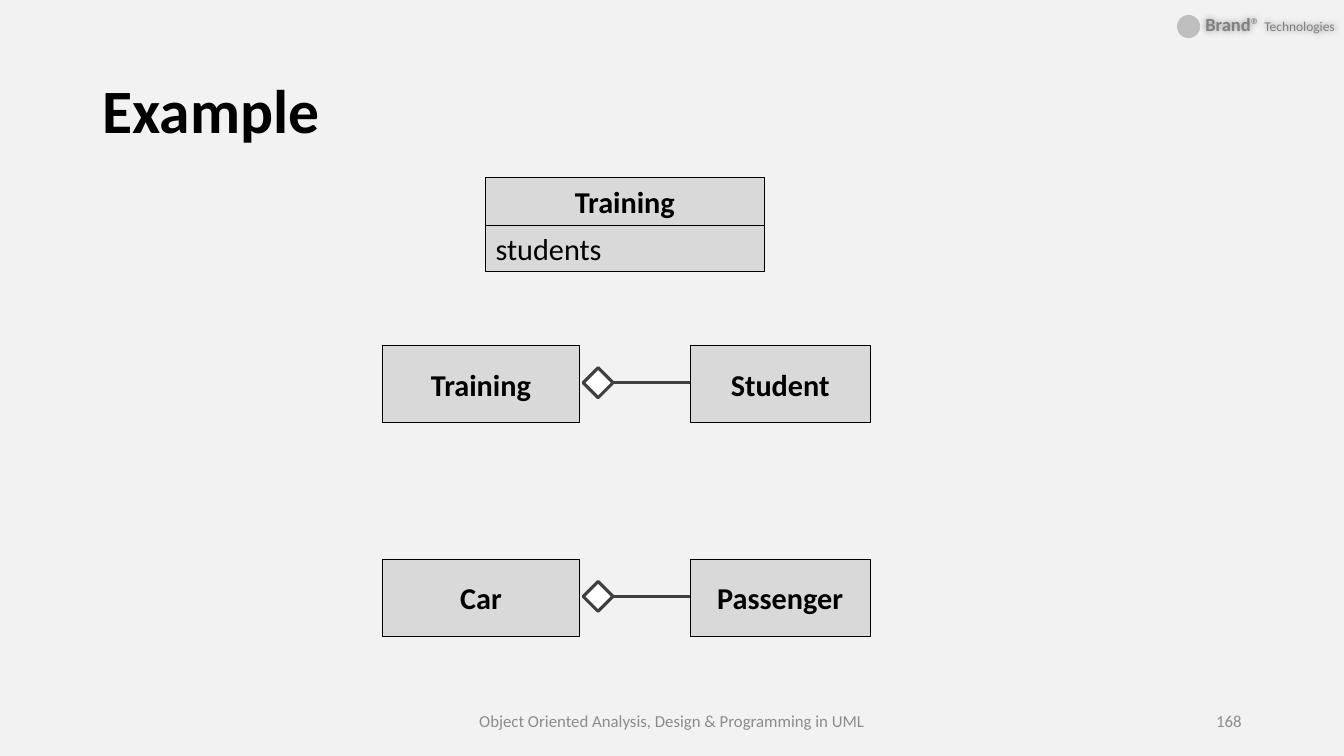
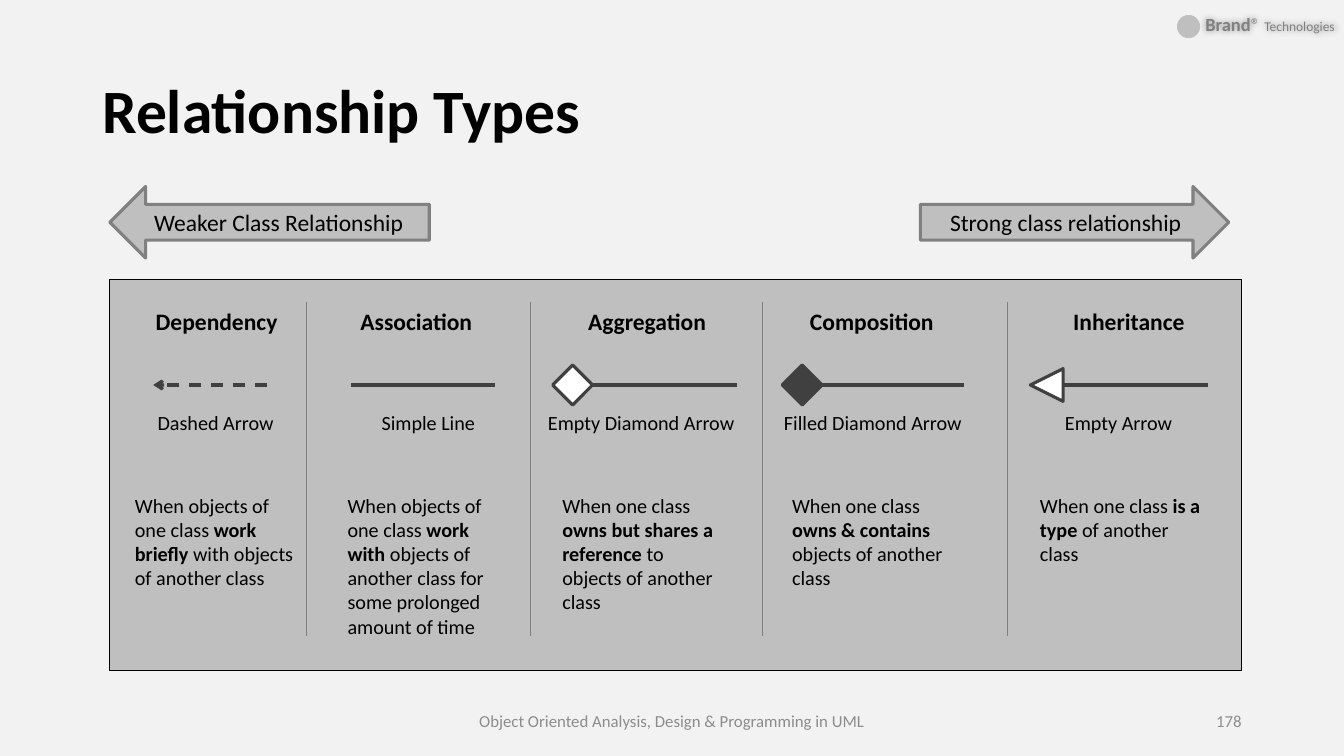
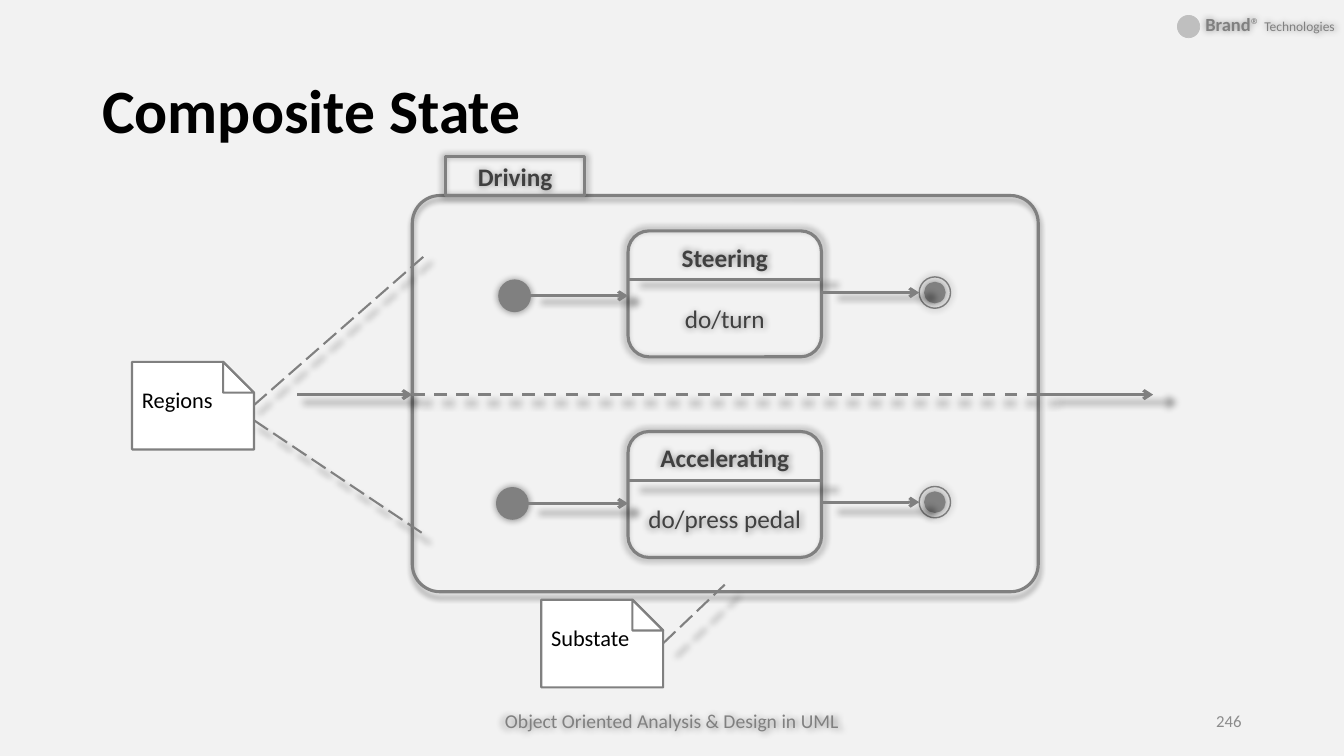
from lxml import etree
from pptx import Presentation
from pptx.dml.color import RGBColor
from pptx.enum.dml import MSO_LINE
from pptx.enum.shapes import MSO_CONNECTOR, MSO_SHAPE
from pptx.enum.text import MSO_ANCHOR, PP_ALIGN
from pptx.oxml.ns import qn
from pptx.util import Pt

RECT, ROUND, OVAL = MSO_SHAPE.RECTANGLE, MSO_SHAPE.ROUNDED_RECTANGLE, MSO_SHAPE.OVAL
TRIANGLE, CORNER, SNIP = MSO_SHAPE.ISOSCELES_TRIANGLE, MSO_SHAPE.RIGHT_TRIANGLE, MSO_SHAPE.SNIP_1_RECTANGLE
LEFT_ARROW, RIGHT_ARROW = MSO_SHAPE.LEFT_ARROW, MSO_SHAPE.RIGHT_ARROW
LEFT, CENTER, RIGHT = PP_ALIGN.LEFT, PP_ALIGN.CENTER, PP_ALIGN.RIGHT
TOP, MIDDLE = MSO_ANCHOR.TOP, MSO_ANCHOR.MIDDLE
DASH, LONG_DASH = MSO_LINE.DASH, MSO_LINE.LONG_DASH

FONT = "Calibri"
COLORS = dict(back="F2F2F2", box="D9D9D9", panel="BFBFBF", black="000000", white="FFFFFF",
              dark="404040", grey="808080", footer="8C8C8C")
GLOW = dict(blurRad=Pt(5), sx=102000, sy=102000, algn="ctr")
DROP = dict(blurRad=Pt(4), dist=Pt(3), dir=5400000, algn="t")

# Content: shared and slide 1
BRAND = [("Brand", dict(size=13.2, bold=True)), ("® ", dict(size=13.2)), ("Technologies", dict(size=9.6))]
COURSE = "Object Oriented Analysis, Design & Programming in UML"
COURSE_SHORT = "Object Oriented Analysis & Design in UML"
OWNERSHIPS = [("Training", "Student", 247), ("Car", "Passenger", 399.6)]  # whole, part, top

# Content: slide 2; x positions of the name, symbol label centre, text and symbol line
RELATIONS = [
    dict(name="Dependency", label="Dashed Arrow", head="open",
         text=("When objects of one class ", "work briefly ", "with objects of another class"),
         name_x=98.6, label_x=154, text_x=89.3, line=(109.4, 190.8)),
    dict(name="Association", label="Simple Line", head=None,
         text=("When objects of one class ", "work with ",
               "objects of another class for some prolonged amount of time"),
         name_x=241.2, label_x=306, text_x=241.2, line=(250.6, 353.5)),
    dict(name="Aggregation", label="Empty Diamond Arrow", head="white",
         text=("When one class ", "owns but shares a reference ", "to objects of another class"),
         name_x=406, label_x=458, text_x=394.6, line=(422.6, 526.3)),
    dict(name="Composition", label="Filled Diamond Arrow", head="dark",
         text=("When one class ", "owns & contains ", "objects of another class"),
         name_x=566.6, label_x=623.5, text_x=558.7, line=(586.6, 688.3)),
    dict(name="Inheritance", label="Empty Arrow", head="triangle",
         text=("When one class ", "is a type ", "of another class"),
         name_x=750.2, label_x=799, text_x=735.8, line=(758.9, 862.6)),
]
DIVIDERS = [218.9, 378.7, 544.3, 719.3]
STRENGTHS = [(RIGHT_ARROW, "Strong class relationship", 657.4, 220.3),
             (LEFT_ARROW, "Weaker Class Relationship", 78.5, 228.2)]

# Content: slide 3
SUBSTATES = [  # name, activity, top, start centre, end centre
    ("Steering", "do/turn", 164.9, (367.6, 211.3), (667.8, 209)),
    ("Accelerating", "do/press pedal", 308.2, (366, 359.6), (667.8, 358.7)),
]
NOTES = [  # text, left, top, pointer lines
    ("Regions", 94.3, 258.5, [(181.4, 300.2, 303.8, 382.3), (181.4, 289.4, 303.8, 182.2)]),
    ("Substate", 386.6, 428.4, [(473.8, 459.4, 517.7, 417.6)]),
]


def rgb(name):
    return RGBColor.from_string(COLORS[name])


def set_effect(s, shadow=None):
    effects = etree.SubElement(s._element.spPr, qn("a:effectLst"))
    if shadow:
        outer = etree.SubElement(effects, qn("a:outerShdw"), {k: str(v) for k, v in shadow.items()})
        color = etree.SubElement(outer, qn("a:srgbClr"), val=COLORS["black"])
        etree.SubElement(color, qn("a:alpha"), val="40000")


def write(s, paragraphs, align=LEFT, anchor=MIDDLE, gap=0, spacing=None, **font):
    """Each paragraph is a string or a list of (text, format) runs."""
    tf = s.text_frame
    tf.word_wrap, tf.vertical_anchor = True, anchor
    for i, runs in enumerate(paragraphs):
        p = tf.add_paragraph() if i else tf.paragraphs[0]
        p.alignment, p.line_spacing = align, spacing
        if i:
            p.space_before = Pt(gap)
        for text, extra in [(runs, {})] if isinstance(runs, str) else runs:
            r = p.add_run()
            r.text = text
            look = dict(name=FONT, color="black", bold=False) | font | extra
            r.font.color.rgb = rgb(look.pop("color"))
            look["size"] = Pt(look["size"])
            for key, value in look.items():
                setattr(r.font, key, value)


def text_box(slide, box, paragraphs, shadow=None, **style):
    s = slide.shapes.add_textbox(*map(Pt, box))
    set_effect(s, shadow)
    write(s, paragraphs, **style)


def shape(slide, kind, box, fill=None, line="grey", width=2.25, shadow=None, rotation=0, adj=None):
    s = slide.shapes.add_shape(kind, *map(Pt, box))
    s.rotation = rotation
    if adj is not None:
        s.adjustments[0] = adj
    if fill:
        s.fill.solid()
        s.fill.fore_color.rgb = rgb(fill)
    else:
        s.fill.background()
    s.line.color.rgb, s.line.width = rgb(line), Pt(width)
    set_effect(s, shadow)
    return s


def centred(slide, kind, x, y, size, **look):
    return shape(slide, kind, (x - size / 2, y - size / 2, size, size), **look)


def line(slide, x1, y1, x2, y2, color="grey", width=2.25, dash=None, arrow=False, shadow=None):
    s = slide.shapes.add_connector(MSO_CONNECTOR.STRAIGHT, *map(Pt, (x1, y1, x2, y2)))
    s.line.color.rgb, s.line.width = rgb(color), Pt(width)
    if dash:
        s.line.dash_style = dash
    if arrow:
        etree.SubElement(s.line._get_or_add_ln(), qn("a:tailEnd"), type="arrow")
    set_effect(s, shadow)


def diamond(slide, x, y, size, fill):
    centred(slide, RECT, x, y, size, fill=fill, line="dark", rotation=45)


def class_box(slide, box, name, align=CENTER, bold=True):
    s = shape(slide, RECT, box, fill="box", line="black", width=0.5)
    write(s, [name], align=align, size=21.6, bold=bold)


def new_slide(prs, title, number, course=COURSE, **course_style):
    slide = prs.slides.add_slide(prs.slide_layouts[6])
    text_box(slide, (821.5, 0.7, 139, 32.4), [BRAND], align=RIGHT, color="grey", size=13.2, shadow=GLOW)
    centred(slide, OVAL, 849, 19, 16, fill="panel", line="panel", width=0.5)
    text_box(slide, (66, 28.8, 828, 104.4), [title], size=44, bold=True, spacing=0.9)
    footer = dict(align=CENTER, size=12, color="footer")
    text_box(slide, (318, 500.4, 324, 28.8), [course], **footer | course_style)
    text_box(slide, (678, 500.4, 216, 28.8), [number], **footer | dict(align=RIGHT))
    return slide


def example_slide(prs):
    slide = new_slide(prs, "Example", "168")
    class_box(slide, (347, 126.7, 198.7, 34.3), "Training")
    class_box(slide, (347, 161, 198.7, 33), "students", align=LEFT, bold=False)
    for whole, part, top in OWNERSHIPS:
        class_box(slide, (273.3, top, 140.5, 54.7), whole)
        class_box(slide, (493.2, top, 128.2, 54.7), part)
        line(slide, 437, top + 26.4, 493.2, top + 26.4, color="dark")
        diamond(slide, 427.2, top + 26.4, 15.1, "white")


def relationship_slide(prs):
    slide = new_slide(prs, "Relationship Types", "178")
    shape(slide, RECT, (78.5, 199.4, 808.6, 279.4), fill="panel", line="black", width=0.5)
    for kind, text, left, width in STRENGTHS:
        s = shape(slide, kind, (left, 133.2, width, 51.1), fill="panel")
        write(s, [text], align=CENTER, size=16.8)
    for x in DIVIDERS:
        line(slide, x, 216, x, 454, width=0.25)

    symbol_y = 275
    for rel in RELATIONS:
        start, end = rel["line"]
        head = rel["head"]
        if head == "open":
            line(slide, end, symbol_y, start, symbol_y, color="dark", dash=DASH, arrow=True)
        else:
            line(slide, start, symbol_y, end, symbol_y, color="dark")
        if head == "triangle":
            centred(slide, TRIANGLE, start - 11.2, symbol_y, 23.4, fill="white", line="dark", rotation=270)
        elif head in ("white", "dark"):
            diamond(slide, start - 13.6, symbol_y, 20.2, head)

        before, key, after = rel["text"]
        text_box(slide, (rel["name_x"], 216, 112.3, 27.4), [rel["name"]],
                 align=CENTER, anchor=TOP, size=16.8, bold=True)
        text_box(slide, (rel["label_x"] - 79.2, 289.5, 158.4, 24.5), [rel["label"]],
                 align=CENTER, anchor=TOP, size=14.4)
        text_box(slide, (rel["text_x"], 348.5, 129.6, 112),
                 [[(before, {}), (key, dict(bold=True)), (after, {})]], anchor=TOP, size=14.4)


def state_slide(prs):
    slide = new_slide(prs, "Composite State", "246", COURSE_SHORT, size=14, color="grey", shadow=GLOW)
    left, right, middle = 294.5, 741.6, 281.9
    shape(slide, ROUND, (left, 139.7, right - left, 283), shadow=DROP, adj=0.07)
    s = shape(slide, RECT, (318.2, 111.6, 99.4, 28.1), shadow=GLOW)
    write(s, ["Driving"], align=CENTER, anchor=TOP, size=18, bold=True, color="dark")

    # Region border with the arrows in and out
    line(slide, 212.4, middle, left, middle, arrow=True, shadow=GLOW)
    line(slide, left, middle, right, middle, dash=DASH, shadow=GLOW)
    line(slide, right, middle, 823.7, middle, arrow=True, shadow=GLOW)

    state_x, state_w = 448.6, 138.2
    for name, activity, top, (start_x, start_y), (end_x, end_y) in SUBSTATES:
        s = shape(slide, ROUND, (state_x, top, state_w, 90), shadow=GLOW)
        write(s, [[(name, dict(bold=True))], activity], align=CENTER, anchor=TOP,
              gap=22, size=18, color="dark")
        line(slide, state_x, top + 34.8, state_x + state_w, top + 34.8, shadow=GLOW)
        centred(slide, OVAL, start_x, start_y, 22.4, fill="grey", width=1, shadow=GLOW)
        line(slide, start_x + 11.2, start_y, state_x, start_y, arrow=True, shadow=GLOW)
        centred(slide, OVAL, end_x, end_y, 22.4, width=1, shadow=GLOW)
        centred(slide, OVAL, end_x, end_y, 14.4, fill="grey", width=1, shadow=GLOW)
        line(slide, state_x + state_w, end_y, end_x - 11.2, end_y, arrow=True, shadow=GLOW)

    note_w, note_h, fold = 87.1, 62.6, 22
    for text, x, y, pointers in NOTES:
        s = shape(slide, SNIP, (x, y, note_w, note_h), fill="white", width=1.5, adj=0.35)
        s.text_frame.margin_bottom = Pt(23)
        write(s, [text], size=16)
        shape(slide, CORNER, (x + note_w - fold, y, fold, fold), width=1.5)
        for ends in pointers:
            line(slide, *ends, width=1.5, dash=LONG_DASH, shadow=GLOW)


def main():
    prs = Presentation()
    prs.slide_width, prs.slide_height = Pt(960), Pt(540)
    back = prs.slide_master.background.fill
    back.solid()
    back.fore_color.rgb = rgb("back")
    for build in (example_slide, relationship_slide, state_slide):
        build(prs)
    prs.save("out.pptx")


if __name__ == "__main__":
    main()
